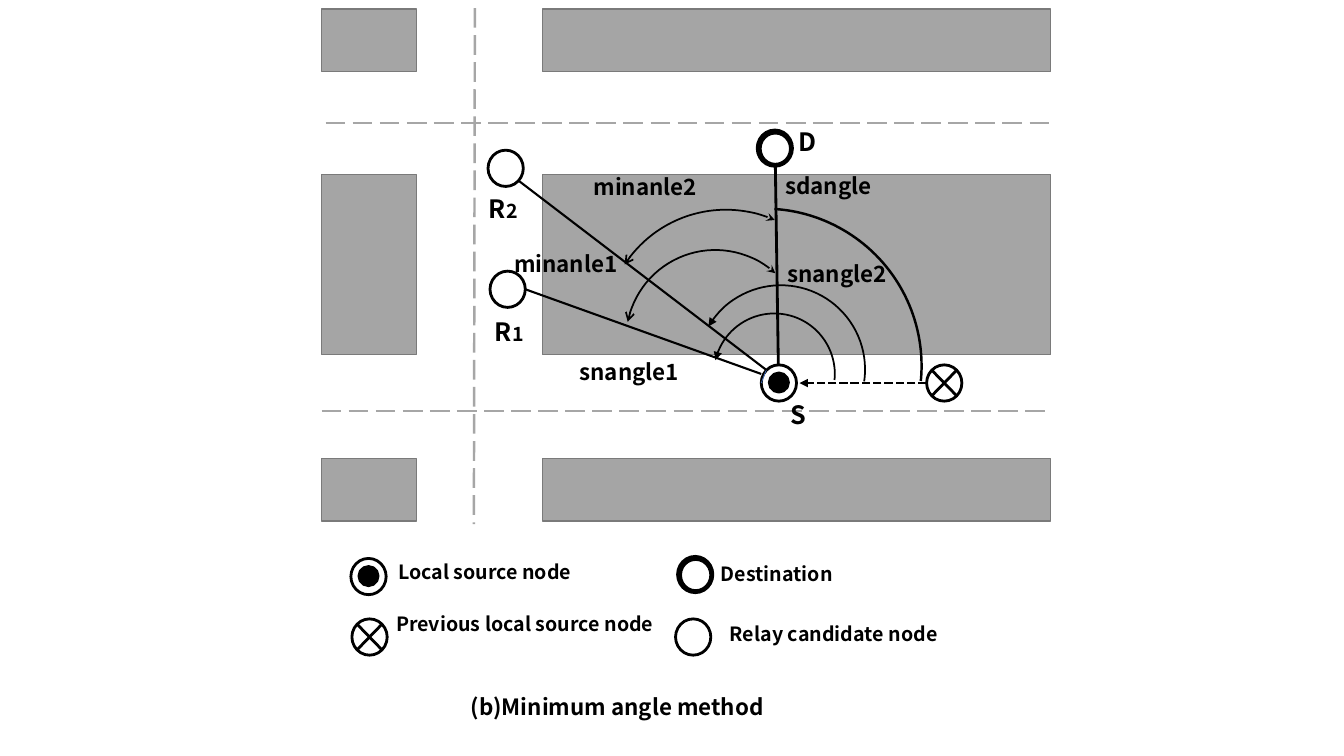
from pptx import Presentation
from pptx import util as u
from pptx.dml.color import RGBColor
from pptx.enum import dml, shapes, text
from pptx.oxml.ns import qn
from lxml import etree

BLACK = RGBColor(0x00, 0x00, 0x00)
WHITE = RGBColor(0xFF, 0xFF, 0xFF)
BLOCK = RGBColor(0xA5, 0xA5, 0xA5)
BLOCK_EDGE = RGBColor(0x7A, 0x7A, 0x7A)
ROAD = RGBColor(0xA6, 0xA6, 0xA6)
BLUE = RGBColor(0x44, 0x72, 0xC4)
FONT = "Noto Sans CJK JP"
NODE_W, NODE_H = 0.35, 0.36
MSO = shapes.MSO_SHAPE
DASH = dml.MSO_LINE


class Diagram:
    def __init__(self, slide):
        self.s = slide

    def stroke(self, sp, color, width, dash=None, head=None, tail=None):
        sp.line.color.rgb = color
        sp.line.width = u.Pt(width)
        if dash:
            sp.line.dash_style = dash
        ln = sp._element.spPr.find(qn("a:ln"))
        for tag, kind in (("a:headEnd", head), ("a:tailEnd", tail)):
            if kind:
                etree.SubElement(ln, qn(tag), type=kind)

    def shape(self, kind, x, y, w, h, fill, color=BLACK, width=2, **ends):
        sp = self.s.shapes.add_shape(
            kind, u.Inches(x), u.Inches(y), u.Inches(w), u.Inches(h))
        sp.shadow.inherit = False
        if fill is None:
            sp.fill.background()
        else:
            sp.fill.solid()
            sp.fill.fore_color.rgb = fill
        self.stroke(sp, color, width, **ends)
        return sp

    def line(self, x1, y1, x2, y2, color=BLACK, width=1.5, **style):
        sp = self.s.shapes.add_connector(
            shapes.MSO_CONNECTOR.STRAIGHT,
            u.Inches(x1), u.Inches(y1), u.Inches(x2), u.Inches(y2))
        self.stroke(sp, color, width, **style)
        etree.SubElement(sp._element.spPr, qn("a:effectLst"))

    def arc(self, x, y, size, start, end, rotation=0, width=1.25, **ends):
        sp = self.shape(MSO.ARC, x, y, size, size, None, width=width, **ends)
        sp.adjustments[0], sp.adjustments[1] = start, end
        sp.rotation = rotation

    def label(self, x, y, w, h, *runs):
        sp = self.s.shapes.add_textbox(
            u.Inches(x), u.Inches(y), u.Inches(w), u.Inches(h))
        tf = sp.text_frame
        tf.word_wrap = True
        tf.auto_size = text.MSO_AUTO_SIZE.SHAPE_TO_FIT_TEXT
        for words, size in runs:
            r = tf.paragraphs[0].add_run()
            r.text = words
            r.font.name = FONT
            r.font.size = u.Pt(size)
            r.font.bold = True
            r.font.color.rgb = BLACK

    # Node symbols
    def relay(self, x, y):
        self.shape(MSO.OVAL, x, y, NODE_W, NODE_H, WHITE)

    def previous(self, x, y):
        self.shape(MSO.FLOWCHART_SUMMING_JUNCTION, x, y, NODE_W, NODE_H, WHITE)

    def destination(self, x, y):
        self.shape(MSO.OVAL, x, y, NODE_W, NODE_H, BLACK)
        self.shape(MSO.OVAL, x + 0.03, y + 0.03, 0.3, 0.31, WHITE)

    def source(self, x, y):
        self.relay(x, y)
        self.shape(MSO.OVAL, x + 0.08, y + 0.08, 0.19, 0.19, BLACK)


def main():
    prs = Presentation()
    prs.slide_width, prs.slide_height = u.Inches(13.33), u.Inches(7.5)
    d = Diagram(prs.slides.add_slide(prs.slide_layouts[6]))

    # City blocks
    for y, h in ((0.09, 0.62), (1.73, 1.79), (4.55, 0.62)):
        for x, w in ((3.19, 0.94), (5.38, 5.04)):
            d.shape(MSO.RECTANGLE, x, y, w, h, BLOCK, BLOCK_EDGE, 1)

    # Road centre lines
    for ends in ((3.19, 4.08, 10.42, 4.08), (3.23, 1.22, 10.46, 1.22),
                 (4.71, 0.08, 4.7, 5.2)):
        d.line(*ends, color=ROAD, width=1.75, dash=DASH.LONG_DASH)

    # Nodes on the map
    d.relay(4.86, 2.69)
    d.previous(9.19, 3.62)
    d.destination(7.51, 1.29)
    d.relay(4.84, 1.49)
    d.source(7.55, 3.62)

    # Links between nodes
    d.line(9.19, 3.8, 7.93, 3.8, width=2, dash=DASH.SQUARE_DOT, tail="triangle")
    d.line(7.6, 3.67, 7.55, 3.8, color=BLUE, width=0.5)
    d.line(7.55, 3.71, 5.21, 2.87)
    d.line(7.6, 3.67, 5.14, 1.79)
    d.line(7.72, 3.62, 7.69, 1.63, width=2)

    # Angle arcs
    d.arc(6.91, 2.83, 1.67, 124.79, 3.3, 2.7, head="triangle")
    d.arc(7.08, 3.11, 1.2, 120.29, 7.89, 352.6, head="triangle")
    d.arc(6.02, 2.07, 3.12, 164.23, 3.3, width=1.75)
    d.arc(6, 2.08, 2.4, 176.45, 8.83, 279.1, head="arrow", tail="stealth")
    d.arc(6.21, 2.48, 1.77, 156.4, 13.02, 290.6, head="arrow", tail="stealth")

    # Node names
    d.label(7.82, 1.2, 0.5, 0.53, ("D", 18))
    d.label(7.74, 3.91, 0.5, 0.53, ("S", 18))
    d.label(4.81, 3.09, 0.83, 0.53, ("R", 18), ("1", 14))
    d.label(4.75, 1.87, 1.08, 0.53, ("R", 18), ("2", 14))

    # Angle names
    for words, x, y, w in (("sdangle", 7.69, 1.66, 1.4),
                           ("snangle1", 5.65, 3.5, 1.61),
                           ("snangle2", 7.71, 2.53, 1.61),
                           ("minanle2", 5.79, 1.67, 1.67),
                           ("minanle1", 5, 2.43, 1.67)):
        d.label(x, y, w, 0.49, (words, 16))

    # Legend
    d.source(3.48, 5.54)
    d.destination(6.72, 5.52)
    d.previous(3.49, 6.14)
    d.relay(6.7, 6.14)
    for words, x, y, w, h in (
            ("Local source node", 3.85, 5.51, 2.85, 0.45),
            ("Destination", 7.05, 5.53, 2.85, 0.45),
            ("Previous local source node", 3.83, 6.02, 2.85, 0.76),
            ("Relay candidate node", 7.14, 6.12, 2.99, 0.45)):
        d.label(x, y, w, h, (words, 14))

    # Caption
    d.label(4.57, 6.83, 4.99, 0.49, ("(b)Minimum angle method", 16))

    prs.save("out.pptx")


if __name__ == "__main__":
    main()
